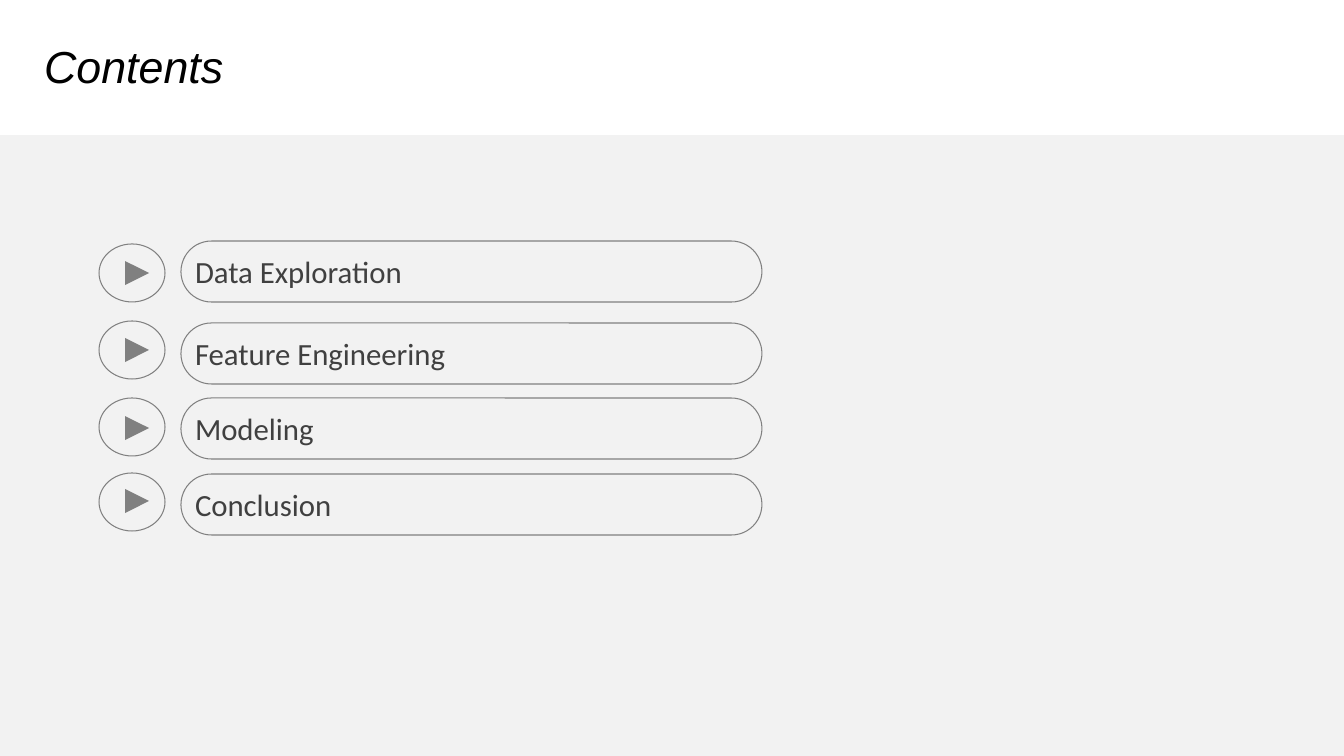
from pptx import Presentation
from pptx.dml.color import RGBColor
from pptx.enum.shapes import MSO_SHAPE
from pptx.enum.text import MSO_ANCHOR, MSO_AUTO_SIZE, PP_ALIGN
from pptx.util import Inches, Pt

SCALE = Inches(1) / 100.8
BAND, GRAY, DARK, BLACK = "F2F2F2", "808080", "404040", "000000"


def px(*sizes):
    """Turn pixel lengths into EMU."""
    return [round(size * SCALE) for size in sizes]


def tint(color, code):
    """Set a colour from a hex string."""
    color.rgb = RGBColor.from_string(code)


class Page:
    """Holds the style and the current slide."""

    def __init__(self, deck):
        """Add a slide that has only a title."""
        self.slide = deck.slides.add_slide(deck.slide_layouts[5])
        self.shapes = self.slide.shapes
        self.inset = px(5)[0]

    def letter(self, box, text, font, size, code, anchor, italic=False):
        """Fill a box with one line of styled text."""
        frame = box.text_frame
        frame.text = text
        frame.word_wrap = True
        frame.auto_size = MSO_AUTO_SIZE.NONE
        frame.vertical_anchor = anchor
        frame.margin_left = frame.margin_right = self.inset
        frame.margin_top = frame.margin_bottom = self.inset
        line = frame.paragraphs[0]
        line.alignment = PP_ALIGN.LEFT
        style = line.runs[0].font
        style.name, style.size, style.italic = font, Pt(size), italic
        tint(style.color, code)

    def title(self, text, *place):
        """Move and style the title placeholder."""
        box = self.shapes.title
        box.left, box.top, box.width, box.height = px(*place)
        self.letter(box, text, "Arial", 32, BLACK, MSO_ANCHOR.TOP, True)

    def label(self, text, *place):
        """Add a text box for an entry."""
        box = self.shapes.add_textbox(*px(*place))
        self.letter(box, text, "Calibri", 22, DARK, MSO_ANCHOR.MIDDLE)

    def solid(self, kind, code, *place):
        """Add a filled shape without a line."""
        shape = self.shapes.add_shape(kind, *px(*place))
        shape.shadow.inherit = False
        shape.fill.solid()
        tint(shape.fill.fore_color, code)
        shape.line.fill.background()
        return shape

    def ring(self, kind, *place):
        """Add an outlined shape without a fill."""
        shape = self.shapes.add_shape(kind, *px(*place))
        shape.shadow.inherit = False
        shape.fill.background()
        tint(shape.line.color, GRAY)
        shape.line.width = Pt(0.75)
        return shape

    def entry(self, text, top, mark, tip):
        """Add a pill with its label, and a round play mark beside it."""
        pill = self.ring(MSO_SHAPE.ROUNDED_RECTANGLE, 181, top, 581, 61)
        pill.adjustments[0] = 0.5
        self.label(text, 190, top + 7, 563, 47)
        self.ring(MSO_SHAPE.OVAL, 99, mark, 66, 58)
        arrow = self.solid(MSO_SHAPE.ISOSCELES_TRIANGLE, GRAY,
                           125, tip, 24, 24)
        arrow.rotation = 90


deck = Presentation()
deck.slide_width, deck.slide_height = px(1344, 756)
page = Page(deck)
page.title("Contents", 39, 34, 1261, 60)
for top, height in ((135, 573), (642, 114)):
    page.solid(MSO_SHAPE.RECTANGLE, BAND, 0, top, 1344, height)

# Each entry: text, then the tops of its pill, circle and triangle
ENTRIES = (
    ("Data Exploration", 241, 244, 261),
    ("Feature Engineering", 323, 321, 338),
    ("Modeling", 398, 398, 416),
    ("Conclusion", 474, 473, 489),
)
for entry in ENTRIES:
    page.entry(*entry)
deck.save("out.pptx")
